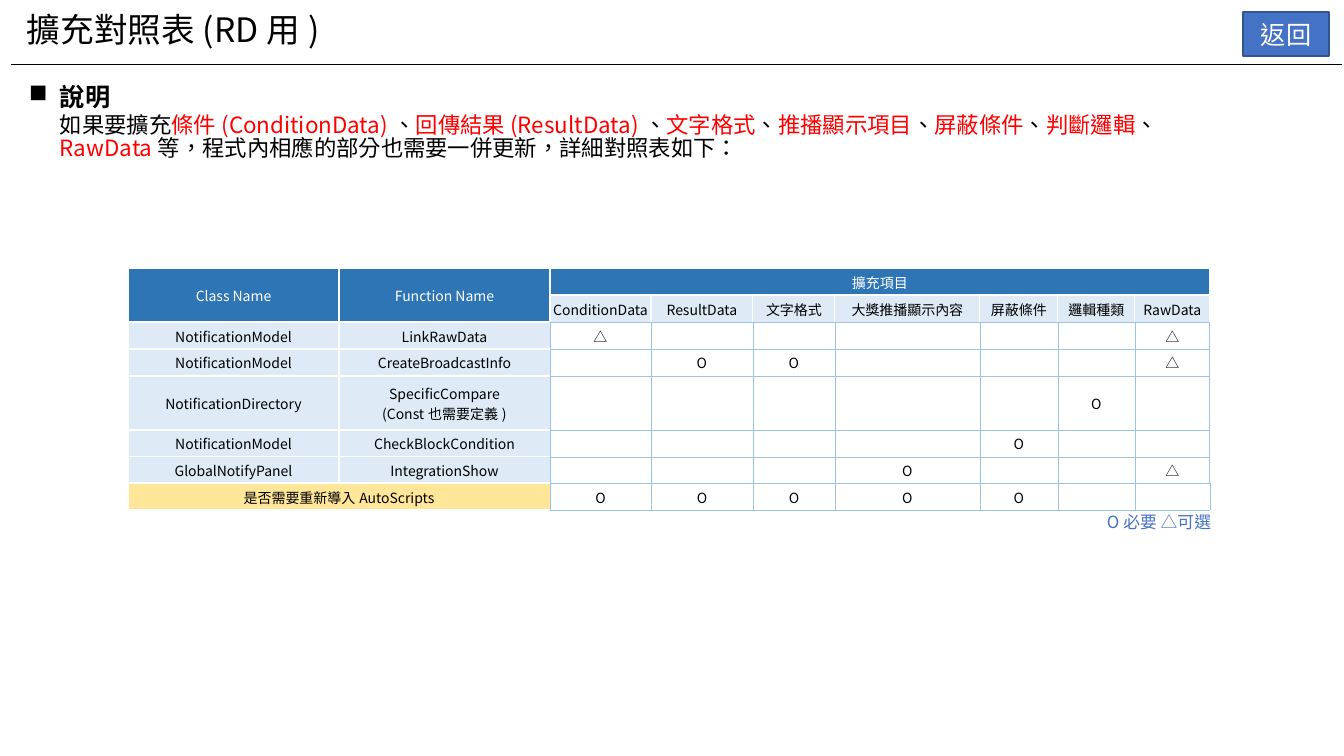
from dataclasses import dataclass

from lxml.etree import SubElement
from pptx import Presentation
from pptx.dml.color import RGBColor
from pptx.enum.shapes import MSO_CONNECTOR, MSO_SHAPE
from pptx.enum.text import MSO_ANCHOR, MSO_AUTO_SIZE, PP_ALIGN
from pptx.oxml.ns import qn
from pptx.util import Emu, Pt


@dataclass(frozen=True)
class Theme:
    font: str = "Noto Sans CJK JP"
    black: str = "000000"
    white: str = "FFFFFF"
    red: str = "FF0000"
    blue: str = "4472C4"
    button_edge: str = "325491"
    header: str = "2E75B6"
    label: str = "DEEBF7"
    script: str = "FFE699"
    grid: str = "9DC3E6"
    title_size: int = 24
    heading_size: int = 18
    body_size: int = 16
    legend_size: int = 12
    table_size: int = 10
    leading: float = 0.9
    body_leading: float = 0.85


THEME = Theme()
PX = 914400 / 100.8

TITLE = "擴充對照表(RD用)"
BACK = "返回"
HEADING = "說明"
EXTENSIONS = [
    "條件(ConditionData)", "回傳結果(ResultData)", "文字格式",
    "推播顯示項目", "屏蔽條件", "判斷邏輯", "RawData",
]
INTRO = "如果要擴充"
OUTRO = "等，程式內相應的部分也需要一併更新，詳細對照表如下："
LEGEND = "O必要 △可選"

MAPPING = [
    ("Class Name", "Function Name", "擴充項目", "", "", "", "", "", ""),
    ("", "", "ConditionData", "ResultData", "文字格式", "大獎推播顯示內容",
     "屏蔽條件", "邏輯種類", "RawData"),
    ("NotificationModel", "LinkRawData", "△", "", "", "", "", "", "△"),
    ("NotificationModel", "CreateBroadcastInfo", "", "O", "O", "", "", "", "△"),
    ("NotificationDirectory", "SpecificCompare\n(Const也需要定義)",
     "", "", "", "", "", "O", ""),
    ("NotificationModel", "CheckBlockCondition", "", "", "", "", "O", "", ""),
    ("GlobalNotifyPanel", "IntegrationShow", "", "", "", "O", "", "", "△"),
]
RELOAD = [("是否需要重新導入AutoScripts", "O", "O", "O", "O", "O", "", "")]

LABEL_WIDTHS = [211, 211]
ITEM_WIDTHS = [101, 102, 82, 145, 78, 77, 75]
MAPPING_HEIGHTS = [27, 27, 27, 27, 54, 27, 26]
RELOAD_HEIGHTS = [27]
TABLE_LEFT, TABLE_TOP = 128, 268
HEADER_SPANS = [(0, 0, 1, 0), (0, 1, 1, 1), (0, 2, 0, 8)]

WHITE_EDGE = (THEME.white, 1)
GRID_EDGE = (THEME.grid, 0.5)
STYLES = {
    "header": (THEME.header, THEME.white, [WHITE_EDGE] * 4),
    "item": (THEME.label, THEME.black, [WHITE_EDGE] * 3 + [GRID_EDGE]),
    "class": (THEME.label, THEME.black, [WHITE_EDGE] * 4),
    "function": (THEME.label, THEME.black,
                 [WHITE_EDGE, GRID_EDGE, WHITE_EDGE, WHITE_EDGE]),
    "script": (THEME.script, THEME.black,
               [WHITE_EDGE, GRID_EDGE, WHITE_EDGE, WHITE_EDGE]),
    "mark": (THEME.white, THEME.black, [GRID_EDGE] * 4),
}


def px(*lengths):
    return [Emu(round(length * PX)) for length in lengths]


def rgb(color):
    return RGBColor.from_string(color)


def write(frame, text, *, size, color=THEME.black, bold=False, align=PP_ALIGN.LEFT,
          leading=None, bullet=None, indent=0):
    pieces = [(text, color)] if isinstance(text, str) else text
    paragraph = frame.paragraphs[0]
    for piece, tint in pieces:
        for number, line in enumerate(piece.split("\n")):
            if number:
                paragraph = frame.add_paragraph()
            paragraph.alignment = align
            if leading:
                paragraph.line_spacing = leading
            if not line:
                SubElement(paragraph._p, qn("a:endParaRPr"), sz=str(size * 100))
                continue
            run = paragraph.add_run()
            run.text = line
            run.font.size = Pt(size)
            run.font.bold = bold
            run.font.name = THEME.font
            run.font.color.rgb = rgb(tint)
            properties = run.font._element
            properties.set("lang", "zh-TW")
            SubElement(properties, qn("a:ea"), typeface=THEME.font)
    if bullet:
        properties = paragraph._p.get_or_add_pPr()
        step = px(indent)[0]
        properties.set("marL", str(step))
        properties.set("indent", str(-step))
        SubElement(properties, qn("a:buChar"), char=bullet)


def add_text(slide, box, text, **style):
    frame = slide.shapes.add_textbox(*px(*box)).text_frame
    frame.word_wrap = True
    frame.auto_size = MSO_AUTO_SIZE.SHAPE_TO_FIT_TEXT
    write(frame, text, **style)


def style_cell(cell, text, kind):
    fill, color, edges = STYLES[kind]
    cell.margin_left, cell.margin_top, cell.margin_right, cell.margin_bottom = px(1, 1, 1, 0)
    cell.vertical_anchor = MSO_ANCHOR.MIDDLE
    write(cell.text_frame, text, size=THEME.table_size, color=color, align=PP_ALIGN.CENTER)
    properties = cell._tc.get_or_add_tcPr()
    for side, (edge_color, width) in zip(("lnL", "lnR", "lnT", "lnB"), edges):
        edge = SubElement(properties, qn(f"a:{side}"), w=str(Pt(width)))
        SubElement(SubElement(edge, qn("a:solidFill")), qn("a:srgbClr"), val=edge_color)
    cell.fill.solid()
    cell.fill.fore_color.rgb = rgb(fill)


def add_grid(slide, top, rows, widths, heights, kind_at, spans=()):
    box = px(TABLE_LEFT, top, sum(widths), sum(heights))
    table = slide.shapes.add_table(len(rows), len(widths), *box).table
    table.first_row = table.horz_banding = False
    for column, width in zip(table.columns, px(*widths)):
        column.width = width
    for row, height in zip(table.rows, px(*heights)):
        row.height = height
    for r, row in enumerate(rows):
        for c, text in enumerate(row):
            style_cell(table.cell(r, c), text, kind_at(r, c))
    for r, c, last_r, last_c in spans:
        table.cell(r, c).merge(table.cell(last_r, last_c))


def mapping_kind(r, c):
    if r == 0 or (r == 1 and c < 2):
        return "header"
    if r == 1:
        return "item"
    return ("class", "function")[c] if c < 2 else "mark"


def reload_kind(r, c):
    return "mark" if c else "script"


def explanation():
    pieces = [(INTRO, THEME.black)]
    for number, extension in enumerate(EXTENSIONS):
        if number:
            pieces.append(("、", THEME.black))
        pieces.append((extension, THEME.red))
    return pieces + [(OUTRO, THEME.black)]


def main():
    deck = Presentation()
    deck.slide_width, deck.slide_height = px(1344, 756)
    slide = deck.slides.add_slide(deck.slide_layouts[6])

    add_text(slide, (17, 9, 745, 50), TITLE, size=THEME.title_size, leading=THEME.leading)

    rule = slide.shapes.add_connector(MSO_CONNECTOR.STRAIGHT, *px(11, 64, 1342, 64))
    rule.line.color.rgb = rgb(THEME.black)
    rule.line.width = Pt(0.5)
    SubElement(rule._element.spPr, qn("a:effectLst"))

    button = slide.shapes.add_shape(MSO_SHAPE.RECTANGLE, *px(1243, 12, 86, 44))
    button.shadow.inherit = False
    button.fill.solid()
    button.fill.fore_color.rgb = rgb(THEME.blue)
    button.line.color.rgb = rgb(THEME.button_edge)
    button.line.width = Pt(1)
    button.text_frame.vertical_anchor = MSO_ANCHOR.MIDDLE
    write(button.text_frame, BACK, size=THEME.heading_size, color=THEME.white,
          align=PP_ALIGN.CENTER)

    add_text(slide, (50, 110, 1213, 65), explanation(), size=THEME.body_size,
             leading=THEME.body_leading)
    add_text(slide, (19, 80, 252, 40), HEADING, size=THEME.heading_size, bold=True,
             leading=THEME.leading, bullet="■", indent=31)

    add_grid(slide, TABLE_TOP, MAPPING, LABEL_WIDTHS + ITEM_WIDTHS, MAPPING_HEIGHTS,
             mapping_kind, HEADER_SPANS)
    add_text(slide, (1097, 509, 153, 30), LEGEND, size=THEME.legend_size,
             color=THEME.blue, leading=THEME.leading)
    add_grid(slide, TABLE_TOP + sum(MAPPING_HEIGHTS), RELOAD,
             [sum(LABEL_WIDTHS)] + ITEM_WIDTHS, RELOAD_HEIGHTS, reload_kind)

    deck.save("out.pptx")


if __name__ == "__main__":
    main()
